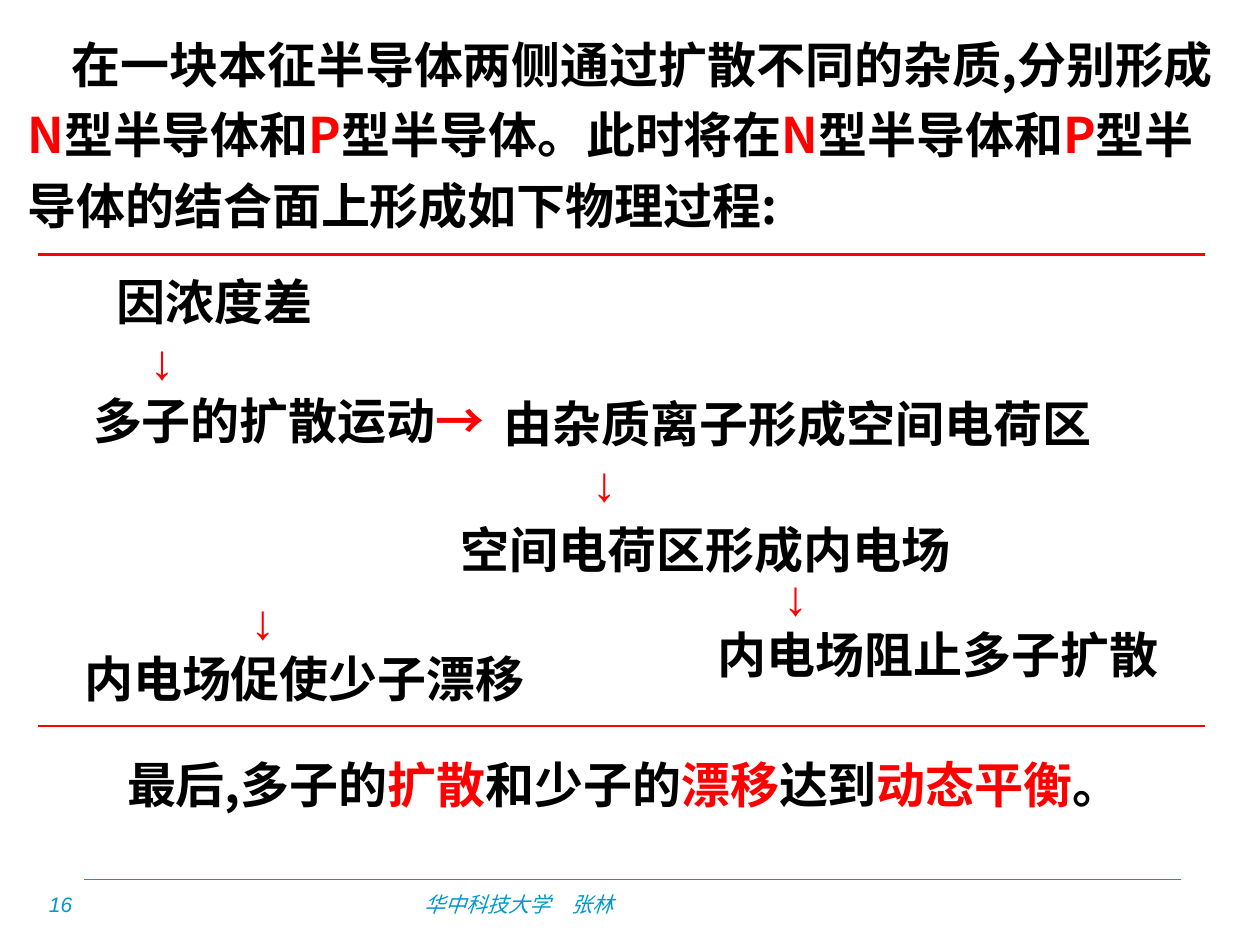
from lxml.etree import SubElement
from pptx import Presentation
from pptx.dml.color import RGBColor
from pptx.enum.shapes import MSO_CONNECTOR
from pptx.enum.text import MSO_ANCHOR
from pptx.oxml.ns import qn
from pptx.util import Inches, Pt

CJK, LATIN = "Noto Sans CJK SC", "Arial"
THEME = {
    "paper": RGBColor(0xFF, 0xFF, 0xFF),
    "red": RGBColor(0xFF, 0, 0),
    "blue": RGBColor(0, 0x99, 0xCC),
}
BODY = {"size": Pt(28), "bold": True}
# style: (latin font, east asian font, colour, font format)
STYLES = {
    "plain": (CJK, CJK, RGBColor(0, 0, 0), BODY),
    "key": (CJK, CJK, THEME["red"], BODY),
    "down": (LATIN, LATIN, THEME["red"], BODY),
    "right": (LATIN, CJK, THEME["red"], BODY),
    "footer": (LATIN, CJK, THEME["blue"], {"size": Pt(12), "italic": True}),
}


# Paragraph: (left indent, first-line indent, line spacing, runs)
def line(text, style="plain", indent=0):
    return (indent, 0, 1, [(text, style)])


def down_arrow(indent):
    return line("↓", "down", indent)


INTRO = (0, 0.35, 1.2, [
    ("在一块本征半导体两侧通过扩散不同的杂质,分别形成", "plain"),
    ("N", "key"), ("型半导体和", "plain"), ("P", "key"),
    ("型半导体。此时将在", "plain"),
    ("N", "key"), ("型半导体和", "plain"), ("P", "key"),
    ("型半导体的结合面上形成如下物理过程:", "plain"),
])
DIFFUSION = (0, 0, 1, [("多子的扩散运动", "plain"), ("→", "right")])
CONCLUSION = (0, 0, 1.1, [
    ("最后,多子的", "plain"), ("扩散", "key"), ("和少子的", "plain"),
    ("漂移", "key"), ("达到", "plain"), ("动态平衡", "key"), ("。", "plain"),
])

# Boxes: (left, top, width, height, paragraphs)
BODY_BOXES = [
    (0.12, 0.13, 9.76, 1.78, [INTRO]),
    (0.3, 2.1, 3.11, 1.04, [line("因浓度差", indent=0.53), down_arrow(0.79)]),
    (3.56, 4.07, 4.2, 0.57, [line("空间电荷区形成内电场")]),
    (0.3, 4.63, 4.67, 1.04, [down_arrow(1.59), line("内电场促使少子漂移", indent=0.27)]),
    (5.6, 4.44, 4, 1.04, [down_arrow(0.52), line("内电场阻止多子扩散")]),
    (0.91, 5.89, 8.65, 0.62, [CONCLUSION]),
    (0.64, 3.05, 3.61, 0.57, [DIFFUSION]),
    (3.9, 3.07, 5.22, 1.04, [line("由杂质离子形成空间电荷区"), down_arrow(0.7)]),
]
FOOTER_BOXES = [
    (0.29, 7.03, 0.96, 0.3, [line("16", "footer")]),
    (3.27, 7.03, 1.97, 0.3, [line("华中科技大学　张林", "footer")]),
]
# Rules: (left, right, y, colour, weight)
RULES = [
    (0.67, 9.37, 6.98, "blue", 1),
    (0.3, 9.56, 5.76, "red", 1.25),
    (0.3, 9.56, 2.02, "red", 1.25),
]


def add_run(paragraph, text, style):
    latin, east_asian, colour, formats = STYLES[style]
    run = paragraph.add_run()
    run.text = text
    for name, value in {"name": latin, **formats}.items():
        setattr(run.font, name, value)
    run.font.color.rgb = colour
    SubElement(run.font._element, qn("a:ea"), typeface=east_asian)


def add_paragraph(paragraph, indent, first, spacing, runs):
    paragraph.line_spacing = spacing
    properties = paragraph._p.get_or_add_pPr()
    properties.set("marL", str(Inches(indent)))
    properties.set("indent", str(Inches(first)))
    for text, style in runs:
        add_run(paragraph, text, style)


def add_box(slide, box, anchor):
    *place, paragraphs = box
    shape = slide.shapes.add_textbox(*map(Inches, place))
    frame = shape.text_frame
    frame.word_wrap = True
    frame.vertical_anchor = anchor
    for number, content in enumerate(paragraphs):
        paragraph = frame.add_paragraph() if number else frame.paragraphs[0]
        add_paragraph(paragraph, *content)
    return shape


def add_rule(slide, left, right, y, colour, weight):
    rule = slide.shapes.add_connector(
        MSO_CONNECTOR.STRAIGHT, Inches(left), Inches(y), Inches(right), Inches(y))
    rule.line.color.rgb = THEME[colour]
    rule.line.width = Pt(weight)
    SubElement(rule._element.spPr, qn("a:effectLst"))


def main():
    presentation = Presentation()
    presentation.slide_width, presentation.slide_height = Inches(10), Inches(7.5)
    slide = presentation.slides.add_slide(presentation.slide_layouts[6])

    # Footer
    for box in FOOTER_BOXES:
        add_box(slide, box, MSO_ANCHOR.TOP)

    # Introduction on a white panel, then the process steps
    boxes = [add_box(slide, box, MSO_ANCHOR.MIDDLE) for box in BODY_BOXES]
    boxes[0].fill.solid()
    boxes[0].fill.fore_color.rgb = THEME["paper"]

    # Dividing rules
    for rule in RULES:
        add_rule(slide, *rule)

    presentation.save("out.pptx")


if __name__ == "__main__":
    main()
